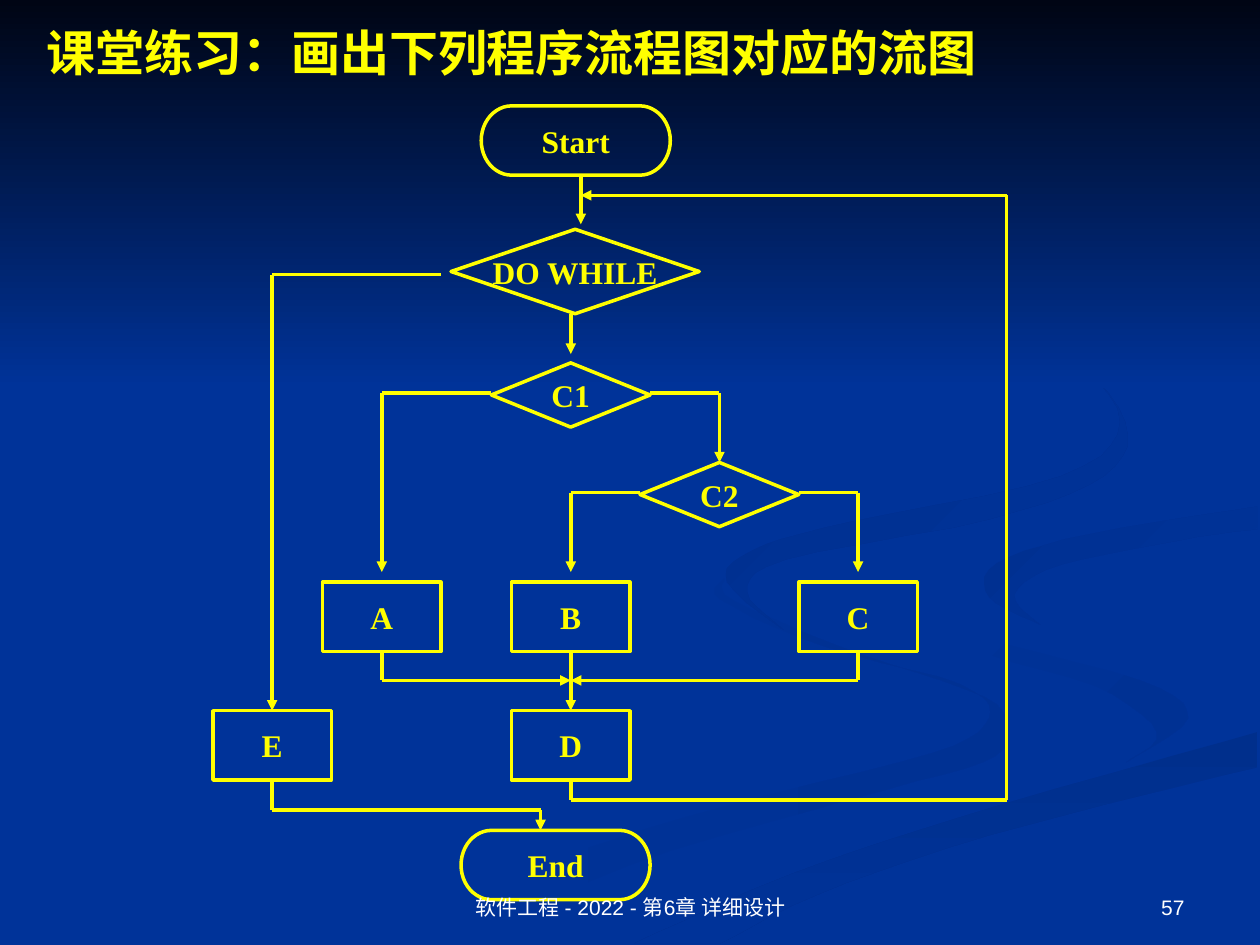
"""Build a flowchart exercise slide for a software engineering lecture."""
from dataclasses import dataclass
from itertools import pairwise

from lxml.etree import SubElement
from pptx import Presentation
from pptx.dml.color import RGBColor
from pptx.enum.shapes import MSO_CONNECTOR, MSO_SHAPE as Preset
from pptx.enum.text import MSO_ANCHOR as Anchor, MSO_AUTO_SIZE, PP_ALIGN as Align
from pptx.oxml.ns import qn
from pptx.util import Emu, Pt

EMU_PER_PX = 9144
CURVE_STEPS = 5
COLOURS = {
    "ground": "003399", "night": "000514", "ink": "FFFF00", "footer": "FFFFFF",
    "dusk": "003193", "shade": "002F8C", "haze": "003091", "mist": "002F8E",
}
SERIF, SANS = "Times New Roman", "Arial"
Point = tuple[int, int]


@dataclass(frozen=True)
class Ribbon:
    near_edge: list[Point]
    far_edge: list[Point]
    start: str
    end: str
    angle: int


@dataclass(frozen=True)
class Step:
    label: str
    preset: Preset
    left: int
    top: int
    width: int
    height: int


@dataclass(frozen=True)
class Footer:
    text: str
    left: int
    width: int
    align: Align


RIBBONS = [
    Ribbon([(575, 459), (572, 476), (654, 513), (762, 543), (785, 570), (739, 598),
            (579, 639), (417, 690), (300, 749)],
           [(361, 749), (499, 687), (676, 634), (780, 605), (800, 581), (781, 553),
            (682, 519), (583, 477), (575, 459)], "ground", "dusk", 0),
    Ribbon([(724, 464), (766, 512), (868, 544), (918, 581), (894, 605)],
           [(894, 605), (943, 570), (905, 540), (774, 503), (724, 464)], "ground", "dusk", 45),
    Ribbon([(503, 749), (630, 693), (797, 638), (998, 581)],
           [(998, 609), (785, 663), (649, 710), (571, 749)], "shade", "ground", 90),
    Ribbon([(998, 402), (865, 424), (791, 447), (785, 474), (826, 496)],
           [(826, 496), (805, 472), (843, 448), (936, 429), (998, 420)], "haze", "ground", 45),
    Ribbon([(762, 233), (846, 279), (889, 335), (842, 378), (676, 414), (597, 437),
            (577, 462), (622, 500)],
           [(622, 500), (593, 470), (624, 444), (786, 412), (876, 378), (893, 335),
            (843, 275), (762, 233)], "mist", "ground", 45),
    Ribbon([(0, 0), (0, 308)], [(1000, 308), (1000, 0)], "night", "ground", 90),
]

TERMINAL, DECISION = Preset.FLOWCHART_TERMINATOR, Preset.FLOWCHART_DECISION
STEPS = [
    Step("Start", TERMINAL, 382, 84, 150, 55),
    Step("End", TERMINAL, 366, 659, 150, 55),
    Step("DO WHILE", DECISION, 358, 182, 197, 67),
    Step("C1", DECISION, 390, 288, 126, 51),
    Step("C2", DECISION, 508, 367, 126, 51),
    *(Step(label, Preset.FLOWCHART_PROCESS, left, top, 94, 55)
      for label, left, top in [("A", 256, 462), ("B", 406, 462), ("C", 634, 462),
                               ("D", 406, 564), ("E", 169, 564)]),
]
ROUTES = [
    [(461, 139), (461, 178)],
    [(453, 249), (453, 281)],
    [(390, 312), (303, 312), (303, 454)],
    [(516, 312), (571, 312), (571, 367)],
    [(508, 391), (453, 391), (453, 454)],
    [(634, 391), (681, 391), (681, 454)],
    [(453, 517), (453, 564)],
    [(303, 517), (303, 540), (453, 540)],
    [(681, 517), (681, 540), (453, 540)],
    [(350, 218), (216, 218), (216, 564)],
    [(216, 619), (216, 643), (429, 643), (429, 659)],
    [(453, 619), (453, 635), (799, 635), (799, 155), (461, 155)],
]
FOOTERS = [
    Footer("软件工程 - 2022 - 第6章 详细设计", 342, 317, Align.CENTER),
    Footer("57", 717, 233, Align.RIGHT),
]


def px(length: int) -> Emu:
    return Emu(length * EMU_PER_PX)


def rgb(name: str) -> RGBColor:
    return RGBColor.from_string(COLOURS[name])


def smooth(edge: list[Point]) -> list[Point]:
    """Run a Catmull-Rom curve through the points of an edge."""
    padded = [edge[0], *edge, edge[-1]]
    curve = [edge[0]]
    for quad in zip(padded, padded[1:], padded[2:], padded[3:]):
        for step in range(1, CURVE_STEPS + 1):
            t = step / CURVE_STEPS
            curve.append(tuple(
                round(b + t * (c - a + t * (2 * a - 5 * b + 4 * c - d
                                            + t * (3 * b - a - 3 * c + d))) / 2)
                for a, b, c, d in zip(*quad)))
    return curve


def write(frame, text: str, size: int, face: str, colour: str, align: Align,
          anchor: Anchor, wrap: bool = True, bold: bool = True) -> None:
    frame.auto_size = MSO_AUTO_SIZE.NONE
    frame.word_wrap, frame.vertical_anchor = wrap, anchor
    paragraph = frame.paragraphs[0]
    paragraph.alignment = align
    run = paragraph.add_run()
    run.text = text
    run.font.size, run.font.name, run.font.bold = Pt(size), face, bold
    run.font.color.rgb = rgb(colour)


def draw_ribbon(shapes, ribbon: Ribbon) -> None:
    outline = smooth(ribbon.near_edge) + smooth(ribbon.far_edge)
    builder = shapes.build_freeform(*outline[0], scale=EMU_PER_PX)
    builder.add_line_segments(outline[1:], close=True)
    band = builder.convert_to_shape()
    band.shadow.inherit = False
    band.line.fill.background()
    band.fill.gradient()
    band.fill.gradient_angle = -ribbon.angle % 360
    for stop, colour in zip(band.fill.gradient_stops, (ribbon.start, ribbon.end)):
        stop.color.rgb = rgb(colour)


def draw_step(shapes, step: Step) -> dict:
    node = shapes.add_shape(step.preset, *map(px, (step.left, step.top, step.width, step.height)))
    node.shadow.inherit = False
    node.fill.background()
    node.line.color.rgb, node.line.width = rgb("ink"), Pt(2)
    write(node.text_frame, step.label, 18, SERIF, "ink", Align.CENTER, Anchor.MIDDLE, wrap=False)
    middle, centre = step.left + step.width // 2, step.top + step.height // 2
    sides = [(middle, step.top), (step.left, centre),
             (middle, step.top + step.height), (step.left + step.width, centre)]
    return {side: (node, site) for site, side in enumerate(sides)}


def draw_route(shapes, route: list[Point], joints: dict) -> None:
    for start, end in pairwise(route):
        link = shapes.add_connector(MSO_CONNECTOR.STRAIGHT, *map(px, start + end))
        link.line.color.rgb, link.line.width = rgb("ink"), Pt(2)
        if start in joints:
            link.begin_connect(*joints[start])
        if end in joints:
            link.end_connect(*joints[end])
        properties = link.element.spPr
        if end == route[-1]:
            SubElement(properties.find(qn("a:ln")), qn("a:tailEnd"), type="triangle")
        SubElement(properties, qn("a:effectLst"))


def main() -> None:
    deck = Presentation()
    deck.slide_width, deck.slide_height = px(1000), px(750)
    slide = deck.slides.add_slide(deck.slide_layouts[5])
    slide.background.fill.solid()
    slide.background.fill.fore_color.rgb = rgb("ground")
    shapes, heading = slide.shapes, slide.shapes.title
    for ribbon in RIBBONS:
        draw_ribbon(shapes, ribbon)
    shapes.element.append(heading.element)
    heading.left, heading.top, heading.width, heading.height = map(px, (27, -8, 890, 99))
    write(heading.text_frame, "课堂练习：画出下列程序流程图对应的流图", 28, SERIF, "ink",
          Align.LEFT, Anchor.MIDDLE)
    joints = {}
    for step in STEPS:
        joints |= draw_step(shapes, step)
    for route in ROUTES:
        draw_route(shapes, route, joints)
    for footer in FOOTERS:
        note = shapes.add_textbox(*map(px, (footer.left, 683, footer.width, 52)))
        write(note.text_frame, footer.text, 12, SANS, "footer", footer.align, Anchor.BOTTOM, bold=False)
    deck.save("out.pptx")


if __name__ == "__main__":
    main()
